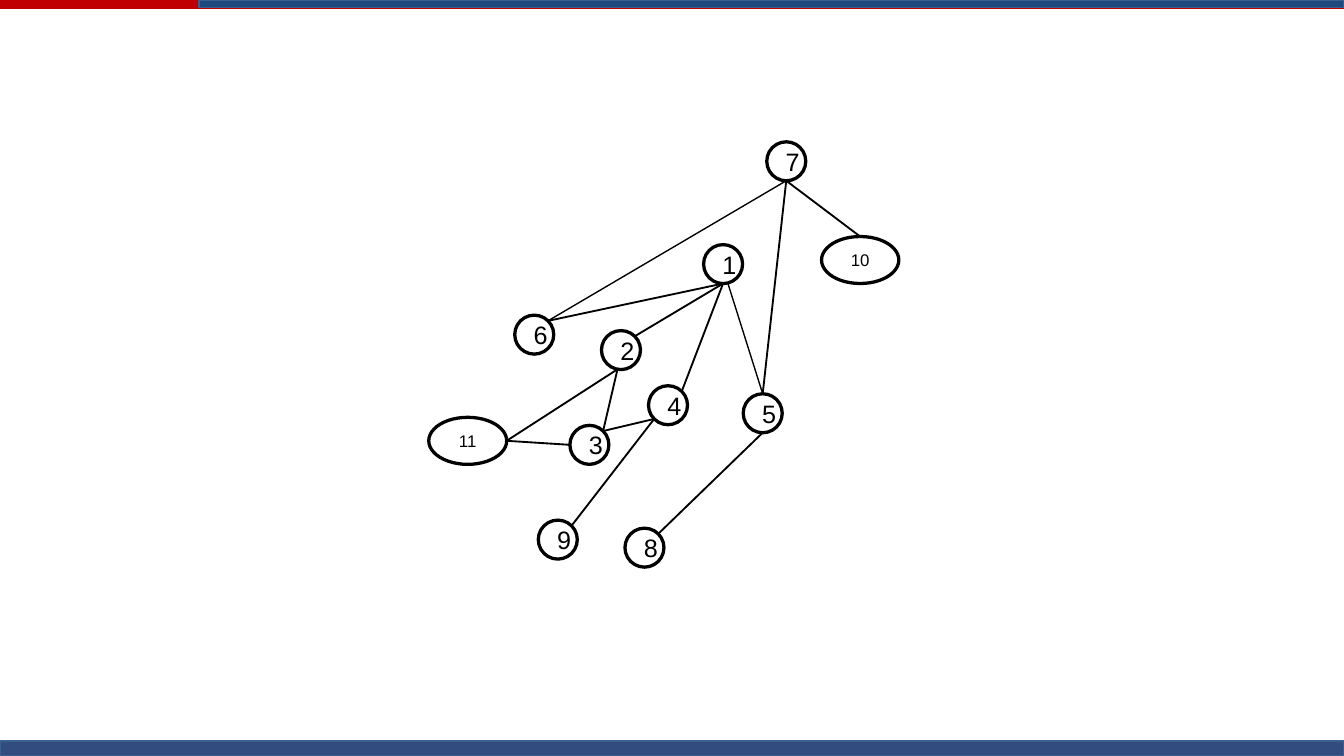
from dataclasses import dataclass
from math import cos, radians, sin

from lxml import etree
from pptx import Presentation
from pptx import util as u
from pptx.dml.color import RGBColor
from pptx.enum import shapes, text
from pptx.oxml.ns import qn

COLORS = {"ink": "000000", "red": "C00000", "blue": "1F497D",
          "navy": "002060", "edge": "3A5F8C"}
WIDTH = u.Inches(10)
HEIGHT = u.Emu(WIDTH * 9 // 16)
CELL = u.Inches(0.1)  # the graph sits on a grid of square cells

# Angles on a node's outline, clockwise from the right, in degrees
RIGHT, BOTTOM, LOWER_LEFT, LEFT, TOP, UPPER_RIGHT = 0, 90, 135, 180, 270, 315


@dataclass(frozen=True)
class Bar:
    """A band across the slide, in shares of its size."""
    left: float
    top: float
    height: float
    fill: str
    outline: str | None = None
    alpha: int = 100


@dataclass(frozen=True)
class Node:
    """A graph node: centre and size in grid cells."""
    col: float
    row: float
    width: float = 2.9
    height: float = 2.9
    font_size: float = 13.5

    def outline_point(self, angle: float) -> tuple[int, int]:
        x = self.col + self.width / 2 * cos(radians(angle))
        y = self.row + self.height / 2 * sin(radians(angle))
        return round(x * CELL), round(y * CELL)


@dataclass(frozen=True)
class Edge:
    start: int
    start_angle: float
    end: int
    end_angle: float
    weight: float = 1


BARS = [
    Bar(0, 0, 0.012, "red"),
    Bar(0.148, 0, 0.01, "blue", "edge"),
    Bar(0, 0.98, 0.02, "navy", "edge", alpha=80),
]
NODES = {
    1: Node(53.8, 19.65),
    2: Node(46.2, 26.05),
    3: Node(43.85, 33.1),
    4: Node(49.7, 30.15),
    5: Node(56.75, 30.75),
    6: Node(39.75, 24.9),
    7: Node(58.5, 12),
    8: Node(47.95, 40.75),
    9: Node(41.5, 40.15),
    10: Node(64, 19.35, 5.75, 3.5, 9),
    11: Node(34.8, 32.8, 5.8, 3.5, 9),
}
EDGES = [
    Edge(1, BOTTOM, 2, UPPER_RIGHT),
    Edge(1, BOTTOM, 6, UPPER_RIGHT),
    Edge(1, BOTTOM, 4, UPPER_RIGHT),
    Edge(1, 76, 5, TOP, 0.75),
    Edge(7, BOTTOM, 6, UPPER_RIGHT, 0.75),
    Edge(7, BOTTOM, 5, TOP),
    Edge(7, BOTTOM, 10, TOP),
    Edge(5, BOTTOM, 8, UPPER_RIGHT),
    Edge(4, LOWER_LEFT, 3, UPPER_RIGHT),
    Edge(4, LOWER_LEFT, 9, UPPER_RIGHT),
    Edge(3, UPPER_RIGHT, 2, 100),
    Edge(2, 100, 11, RIGHT),
    Edge(3, LEFT, 11, RIGHT),
]


def rgb(name: str) -> RGBColor:
    return RGBColor.from_string(COLORS[name])


def draw_bar(slide, bar: Bar) -> None:
    band = slide.shapes.add_shape(
        shapes.MSO_SHAPE.RECTANGLE, round(bar.left * WIDTH), round(bar.top * HEIGHT),
        round((1 - bar.left) * WIDTH), round(bar.height * HEIGHT))
    band.shadow.inherit = False
    band.fill.solid()
    band.fill.fore_color.rgb = rgb(bar.fill)
    if bar.alpha < 100:
        color = band.fill._xPr.find(qn("a:solidFill"))[0]
        etree.SubElement(color, qn("a:alpha"), val=str(bar.alpha * 1000))
    if bar.outline:
        band.line.color.rgb = rgb(bar.outline)
        band.line.width = 0
    else:
        band.line.fill.background()


def draw_node(slide, label: int, node: Node) -> None:
    circle = slide.shapes.add_shape(
        shapes.MSO_SHAPE.OVAL,
        round((node.col - node.width / 2) * CELL), round((node.row - node.height / 2) * CELL),
        round(node.width * CELL), round(node.height * CELL))
    circle.shadow.inherit = False
    circle.fill.background()
    circle.line.color.rgb = rgb("ink")
    circle.line.width = u.Pt(1.75)
    circle.text_frame.vertical_anchor = text.MSO_ANCHOR.MIDDLE
    paragraph = circle.text_frame.paragraphs[0]
    paragraph.text = str(label)
    paragraph.alignment = text.PP_ALIGN.CENTER
    paragraph.font.name = "Arial"
    paragraph.font.size = u.Pt(node.font_size)
    paragraph.font.color.rgb = rgb("ink")


def draw_edge(slide, edge: Edge) -> None:
    link = slide.shapes.add_connector(
        shapes.MSO_CONNECTOR.STRAIGHT,
        *NODES[edge.start].outline_point(edge.start_angle),
        *NODES[edge.end].outline_point(edge.end_angle))
    link.line.color.rgb = rgb("ink")
    link.line.width = u.Pt(edge.weight)
    etree.SubElement(link._element.spPr, qn("a:effectLst"))


def main() -> None:
    deck = Presentation()
    deck.slide_width, deck.slide_height = WIDTH, HEIGHT
    slide = deck.slides.add_slide(deck.slide_layouts[6])
    for bar in BARS:
        draw_bar(slide, bar)
    for edge in EDGES:
        draw_edge(slide, edge)
    for label, node in NODES.items():
        draw_node(slide, label, node)
    deck.save("out.pptx")


if __name__ == "__main__":
    main()
